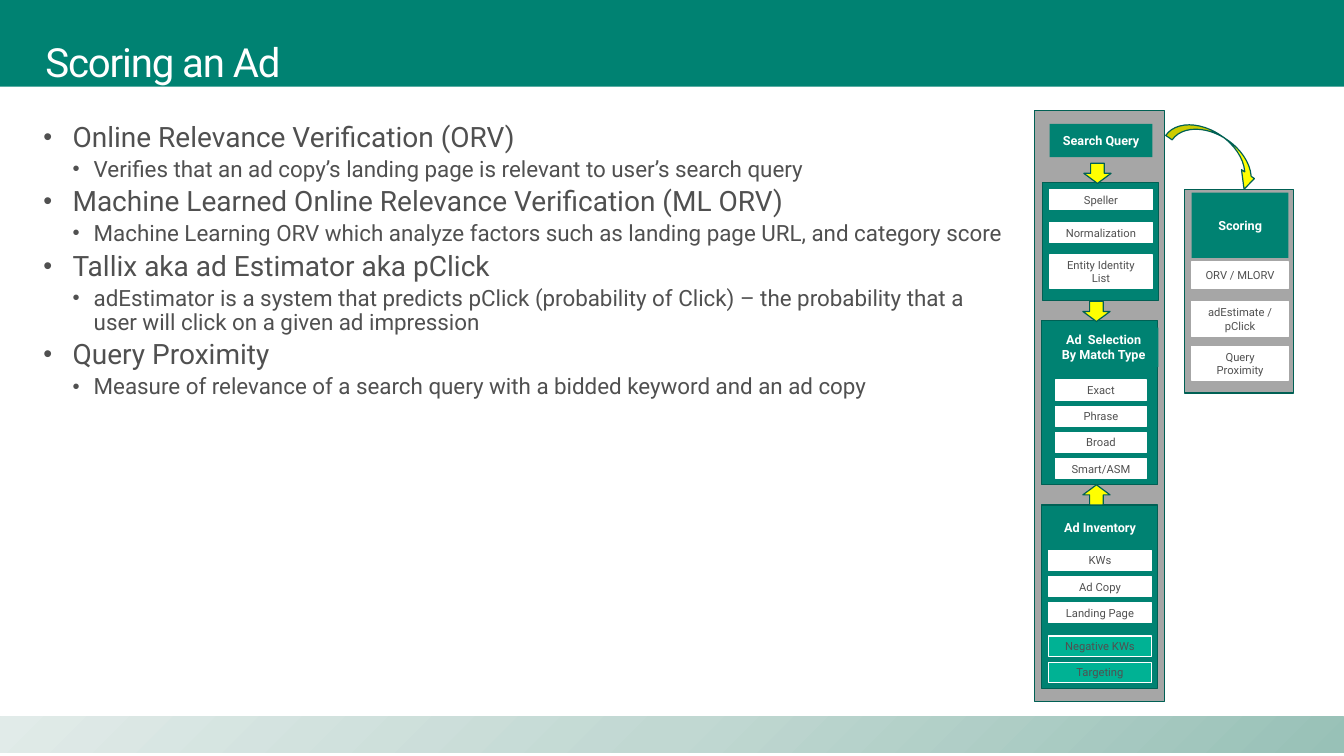
"""Build the "Scoring an Ad" slide with its bullet list and ad selection diagram."""

import copy
import dataclasses

import pptx
import pptx.dml.color
import pptx.enum.shapes
import pptx.enum.text
import pptx.oxml
import pptx.oxml.ns
import pptx.shapes.autoshape
import pptx.slide
import pptx.text.text
import pptx.util

EMU_PER_PX = 9144
FONT = "Roboto"
SHAPES = pptx.enum.shapes.MSO_SHAPE
ALIGN = pptx.enum.text.PP_ALIGN
ANCHOR = pptx.enum.text.MSO_ANCHOR
COLORS = {
    "teal": "008272",
    "dark_teal": "006054",
    "mint": "00B294",
    "gray": "A6A6A6",
    "yellow": "FFFF00",
    "white": "FFFFFF",
    "text": "505050",
    "band_dark": "98C1B7",
    "band_middle": "C1D8D2",
    "band_light": "E1EBE9",
}


@dataclasses.dataclass(frozen=True)
class Style:
    fill: str
    line: str | None = None
    text_color: str = "text"
    size: float = 8
    bold: bool = False


@dataclasses.dataclass(frozen=True)
class Box:
    left: int
    top: int
    width: int
    height: int
    style: Style
    text: str = ""
    kind: pptx.enum.shapes.MSO_SHAPE = SHAPES.RECTANGLE


@dataclasses.dataclass(frozen=True)
class BulletLevel:
    size: int
    margin: int
    hanging: int
    space_before: float


BACKDROP = Style("gray", "dark_teal")
PANEL = Style("teal", "dark_teal")
HEADING = Style("teal", text_color="white", size=9, bold=True)
ITEM = Style("white", "white")
EXCLUSION = Style("mint", "white")
ARROW = Style("yellow", "dark_teal")
TITLE_BAR = Style("teal")

LEVELS = [BulletLevel(20, 29, 29, 4), BulletLevel(16, 50, 21, 3.2)]
BULLETS = [
    (0, "Online Relevance Verification (ORV)"),
    (1, "Verifies that an ad copy’s landing page is relevant to user’s search query"),
    (0, "Machine Learned Online Relevance Verification (ML ORV)"),
    (1, "Machine Learning ORV which analyze factors such as landing page URL, and category score"),
    (0, "Tallix aka ad Estimator aka pClick"),
    (1, "adEstimator is a system that predicts pClick (probability of Click) – "
        "the probability that a user will click on a given ad impression"),
    (0, "Query Proximity"),
    (1, "Measure of relevance of a search query with a bidded keyword and an ad copy"),
]


def stack(left: int, top: int, width: int, pitch: int, style: Style, labels: list[str]) -> list[Box]:
    return [Box(left, top + index * pitch, width, 20, style, label)
            for index, label in enumerate(labels)]


DIAGRAM = [
    Box(1026, 110, 129, 586, BACKDROP),
    Box(1041, 123, 102, 33, HEADING, "Search Query"),
    Box(1034, 181, 115, 117, PANEL),
    Box(1075, 162, 27, 20, ARROW, kind=SHAPES.DOWN_ARROW),
    *stack(1041, 188, 102, 33, ITEM, ["Speller", "Normalization"]),
    Box(1041, 253, 102, 33, ITEM, "Entity Identity List"),
    Box(1033, 318, 115, 163, PANEL),
    Box(1040, 325, 109, 39, HEADING, "Ad  Selection By Match Type"),
    *stack(1047, 377, 90, 26, ITEM, ["Exact", "Phrase", "Broad", "Smart/ASM"]),
    Box(1074, 299, 27, 20, ARROW, kind=SHAPES.DOWN_ARROW),
    Box(1033, 501, 115, 182, PANEL),
    Box(1040, 507, 102, 33, HEADING, "Ad Inventory"),
    *stack(1040, 546, 102, 26, ITEM, ["KWs", "Ad Copy", "Landing Page"]),
    *stack(1040, 631, 102, 26, EXCLUSION, ["Negative KWs", "Targeting"]),
    Box(1074, 481, 27, 20, ARROW, kind=SHAPES.UP_ARROW),
    Box(1175, 188, 108, 202, BACKDROP),
    Box(1182, 260, 96, 26, ITEM, "ORV / MLORV"),
    Box(1182, 299, 96, 35, ITEM, "adEstimate / pClick"),
    Box(1182, 344, 96, 33, ITEM, "Query Proximity"),
    Box(1182, 191, 96, 65, HEADING, "Scoring"),
]


def px(length: int) -> pptx.util.Emu:
    return pptx.util.Emu(length * EMU_PER_PX)


def rgb(name: str) -> pptx.dml.color.RGBColor:
    return pptx.dml.color.RGBColor.from_string(COLORS[name])


def write_text(paragraph: pptx.text.text._Paragraph, text: str, *, size: float, color: str,
               bold: bool = False, spacing: int = 0, align: ALIGN = ALIGN.LEFT,
               line_spacing: float = 1.0, space_before: float = 0) -> None:
    paragraph.alignment = align
    paragraph.line_spacing = line_spacing
    paragraph.space_before = pptx.util.Pt(space_before)
    run = paragraph.add_run()
    run.text = text
    run.font.name = FONT
    run.font.size = pptx.util.Pt(size)
    run.font.bold = bold
    run.font.color.rgb = rgb(color)
    if spacing:
        run._r.get_or_add_rPr().set("spc", str(spacing))


def add_box(slide: pptx.slide.Slide, box: Box) -> pptx.shapes.autoshape.Shape:
    shape = slide.shapes.add_shape(box.kind, px(box.left), px(box.top), px(box.width), px(box.height))
    shape.shadow.inherit = False
    shape.fill.solid()
    shape.fill.fore_color.rgb = rgb(box.style.fill)
    if box.style.line:
        shape.line.color.rgb = rgb(box.style.line)
        shape.line.width = pptx.util.Pt(0.85)
    else:
        shape.line.fill.background()
    if box.text:
        frame = shape.text_frame
        frame.word_wrap = True
        frame.vertical_anchor = ANCHOR.MIDDLE
        write_text(frame.paragraphs[0], box.text, size=box.style.size, color=box.style.text_color,
                   bold=box.style.bold, align=ALIGN.CENTER)
    return shape


def add_text_area(slide: pptx.slide.Slide, left: int, top: int, width: int,
                  height: int) -> pptx.text.text.TextFrame:
    frame = slide.shapes.add_textbox(px(left), px(top), px(width), px(height)).text_frame
    frame.word_wrap = True
    frame.margin_left = frame.margin_right = px(16)
    frame.margin_top = frame.margin_bottom = px(10)
    return frame


def add_footer_band(slide: pptx.slide.Slide) -> None:
    band = add_box(slide, Box(0, 711, 1333, 36, TITLE_BAR))
    band.fill.gradient()
    band.fill.gradient_angle = 135
    first_stop = band.element.spPr.find(".//" + pptx.oxml.ns.qn("a:gs"))
    first_stop.addnext(copy.deepcopy(first_stop))
    for index, stop in enumerate(band.fill.gradient_stops):
        stop.position = index / 2
        stop.color.rgb = rgb(("band_dark", "band_middle", "band_light")[index])


def add_bullets(slide: pptx.slide.Slide) -> None:
    frame = add_text_area(slide, 27, 112, 986, 371)
    for index, (depth, text) in enumerate(BULLETS):
        level = LEVELS[depth]
        paragraph = frame.add_paragraph() if index else frame.paragraphs[0]
        paragraph.level = depth
        write_text(paragraph, text, size=level.size, color="text", line_spacing=0.9,
                   space_before=level.space_before)
        properties = paragraph._p.get_or_add_pPr()
        properties.set("marL", str(px(level.margin)))
        properties.set("indent", str(px(-level.hanging)))
        for tag, attribute, value in (("a:buSzPct", "val", "90000"),
                                      ("a:buFont", "typeface", "Arial"),
                                      ("a:buChar", "char", "•")):
            element = pptx.oxml.parse_xml(f"<{tag} {pptx.oxml.ns.nsdecls('a')} {attribute}=\"{value}\"/>")
            properties.append(element)


def main() -> None:
    presentation = pptx.Presentation()
    presentation.slide_width, presentation.slide_height = px(1333), px(750)
    slide = presentation.slides.add_slide(presentation.slide_layouts[6])
    add_footer_band(slide)
    add_box(slide, Box(0, 0, 1333, 86, TITLE_BAR))
    title = add_text_area(slide, 29, 32, 1187, 145)
    write_text(title.paragraphs[0], "Scoring an Ad", size=28.7, color="white", spacing=-80,
               line_spacing=0.9)
    add_bullets(slide)
    for box in DIAGRAM:
        add_box(slide, box)
    curve = add_box(slide, Box(1156, 135, 102, 31, ARROW, kind=SHAPES.CURVED_DOWN_ARROW))
    curve.rotation = 34.5
    for index, value in enumerate((0.25, 0.5, 0.47)):
        curve.adjustments[index] = value
    presentation.save("out.pptx")


if __name__ == "__main__":
    main()
